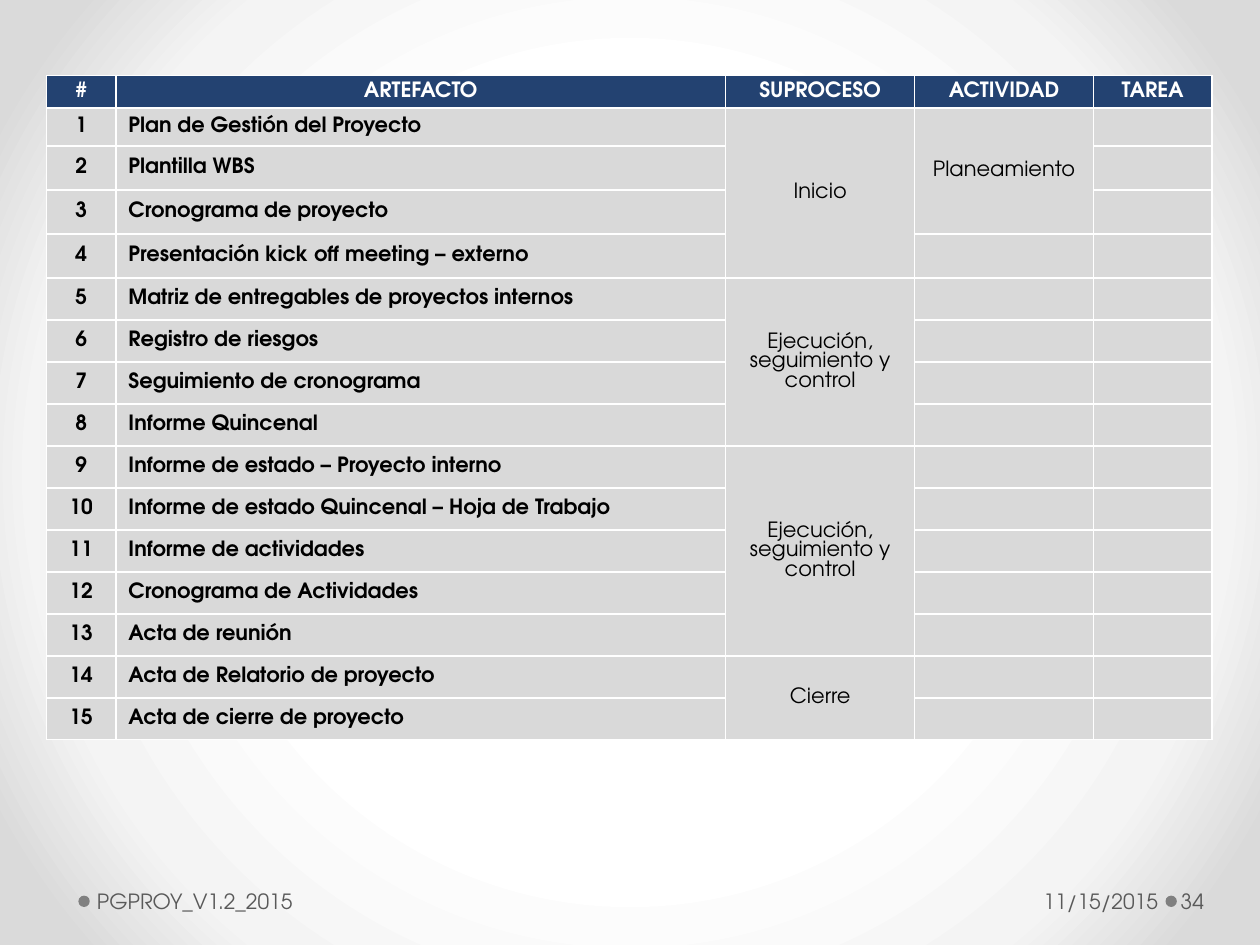
import pptx
import pptx.dml.color
import pptx.enum.shapes
import pptx.enum.text
import pptx.oxml
import pptx.oxml.ns
import pptx.util

Pt = pptx.util.Pt
ALIGN = pptx.enum.text.PP_ALIGN
MIDDLE = pptx.enum.text.MSO_ANCHOR.MIDDLE
TOP = pptx.enum.text.MSO_ANCHOR.TOP
NS = pptx.oxml.ns.nsdecls("a")

COLORS = {
    "header": "234271",
    "cell": "D9D9D9",
    "white": "FFFFFF",
    "black": "000000",
    "footer": "595959",
    "dot": "808080",
}
BACKDROP_STOPS = [(50, "FFFFFF"), (76, "F4F4F4"), (92, "DADADA")]

HEADINGS = ["#", "ARTEFACTO", "SUPROCESO", "ACTIVIDAD", "TAREA"]
ARTIFACTS = [
    "Plan de Gestión del Proyecto",
    "Plantilla WBS",
    "Cronograma de proyecto",
    "Presentación kick off meeting – externo",
    "Matriz de entregables de proyectos internos",
    "Registro de riesgos",
    "Seguimiento de cronograma",
    "Informe Quincenal",
    "Informe de estado – Proyecto interno",
    "Informe de estado Quincenal – Hoja de Trabajo",
    "Informe de actividades",
    "Cronograma de Actividades",
    "Acta de reunión",
    "Acta de Relatorio de proyecto",
    "Acta de cierre de proyecto",
]
# (first row, column, rows spanned, text)
GROUPS = [
    (1, 2, 4, "Inicio"),
    (5, 2, 4, "Ejecución, seguimiento y control"),
    (9, 2, 5, "Ejecución, seguimiento y control"),
    (14, 2, 2, "Cierre"),
    (1, 3, 3, "Planeamiento"),
]
COLUMN_WIDTHS = [39.6, 348.5, 108, 102.2, 67.7]
ROW_HEIGHTS = [18.5] * 2 + [25.2] * 3 + [24] * 11


def rgb(name):
    return pptx.dml.color.RGBColor.from_string(COLORS[name])


class SlideBuilder:
    font = "TeX Gyre Adventor"
    size = Pt(12)
    line_height = Pt(11.2)

    def __init__(self, slide):
        self.slide = slide

    def backdrop(self, stops):
        """Fill the background with a circular gradient from the centre out."""
        fill = self.slide.background.fill
        fill.solid()
        solid = self.slide.background._cSld.bg.bgPr[0]
        marks = "".join(
            f'<a:gs pos="{position * 1000}"><a:srgbClr val="{color}"/></a:gs>'
            for position, color in stops
        )
        gradient = pptx.oxml.parse_xml(
            f'<a:gradFill {NS} rotWithShape="1"><a:gsLst>{marks}</a:gsLst>'
            '<a:path path="circle"><a:fillToRect l="50000" t="50000" r="50000" b="50000"/>'
            "</a:path></a:gradFill>"
        )
        solid.getparent().replace(solid, gradient)

    def style(self, paragraph, color, bold=False, align=ALIGN.LEFT):
        paragraph.alignment = align
        font = paragraph.font
        font.name, font.size, font.bold = self.font, self.size, bold
        font.color.rgb = rgb(color)

    def dot(self, left, top, diameter=6.5):
        oval = self.slide.shapes.add_shape(
            pptx.enum.shapes.MSO_SHAPE.OVAL, Pt(left), Pt(top), Pt(diameter), Pt(diameter)
        )
        oval.shadow.inherit = False
        oval.fill.solid()
        oval.fill.fore_color.rgb = rgb("dot")
        oval.line.fill.background()

    def footer(self, text, left, width, insets, align=ALIGN.LEFT):
        box = self.slide.shapes.add_textbox(Pt(left), Pt(500.4), Pt(width), Pt(28.8))
        frame = box.text_frame
        frame.word_wrap = True
        frame.vertical_anchor = MIDDLE
        frame.margin_left, frame.margin_right = map(Pt, insets)
        frame.text = text
        self.style(frame.paragraphs[0], "footer", align=align)

    def table(self, left, top, widths, heights):
        table = self.slide.shapes.add_table(
            len(heights), len(widths), Pt(left), Pt(top), Pt(sum(widths)), Pt(sum(heights))
        ).table
        table.horz_banding = False
        for column, width in zip(table.columns, widths):
            column.width = Pt(width)
        for row, height in zip(table.rows, heights):
            row.height = Pt(height)
        return table

    def cell(self, cell, text="", header=False, bold=False, align=ALIGN.CENTER):
        cell.text = text
        cell.vertical_anchor = TOP if header else MIDDLE
        cell.fill.solid()
        cell.fill.fore_color.rgb = rgb("header" if header else "cell")
        paragraph = cell.text_frame.paragraphs[0]
        self.style(paragraph, "white" if header else "black", bold, align)
        paragraph.line_spacing = self.line_height
        properties = cell._tc.get_or_add_tcPr()
        for index, side in enumerate("LRTB"):
            properties.insert(index, pptx.oxml.parse_xml(
                f'<a:ln{side} {NS} w="12700"><a:solidFill>'
                f'<a:srgbClr val="{COLORS["white"]}"/></a:solidFill></a:ln{side}>'
            ))


def main():
    deck = pptx.Presentation()
    deck.slide_width, deck.slide_height = Pt(720), Pt(540)
    builder = SlideBuilder(deck.slides.add_slide(deck.slide_layouts[6]))
    builder.backdrop(BACKDROP_STOPS)

    for left in (666, 44.8):
        builder.dot(left, 511.8)
    builder.footer("34", 672.5, 44, (2.2, 3.6))
    builder.footer("PGPROY_V1.2_2015", 51.8, 285, (3.6, 7.2))

    table = builder.table(26.6, 43.2, COLUMN_WIDTHS, ROW_HEIGHTS)
    for column, heading in enumerate(HEADINGS):
        builder.cell(table.cell(0, column), heading, header=True, bold=True)
    group_texts = {(row, column): text for row, column, _, text in GROUPS}
    for row, artifact in enumerate(ARTIFACTS, start=1):
        builder.cell(table.cell(row, 0), str(row), bold=True)
        builder.cell(table.cell(row, 1), artifact, bold=True, align=ALIGN.JUSTIFY)
        for column in range(2, len(HEADINGS)):
            builder.cell(table.cell(row, column), group_texts.get((row, column), ""))
    for row, column, span, _ in GROUPS:
        table.cell(row, column).merge(table.cell(row + span - 1, column))

    builder.footer("11/15/2015", 501.1, 164.2, (7.2, 3.6), ALIGN.RIGHT)
    deck.save("out.pptx")


if __name__ == "__main__":
    main()
